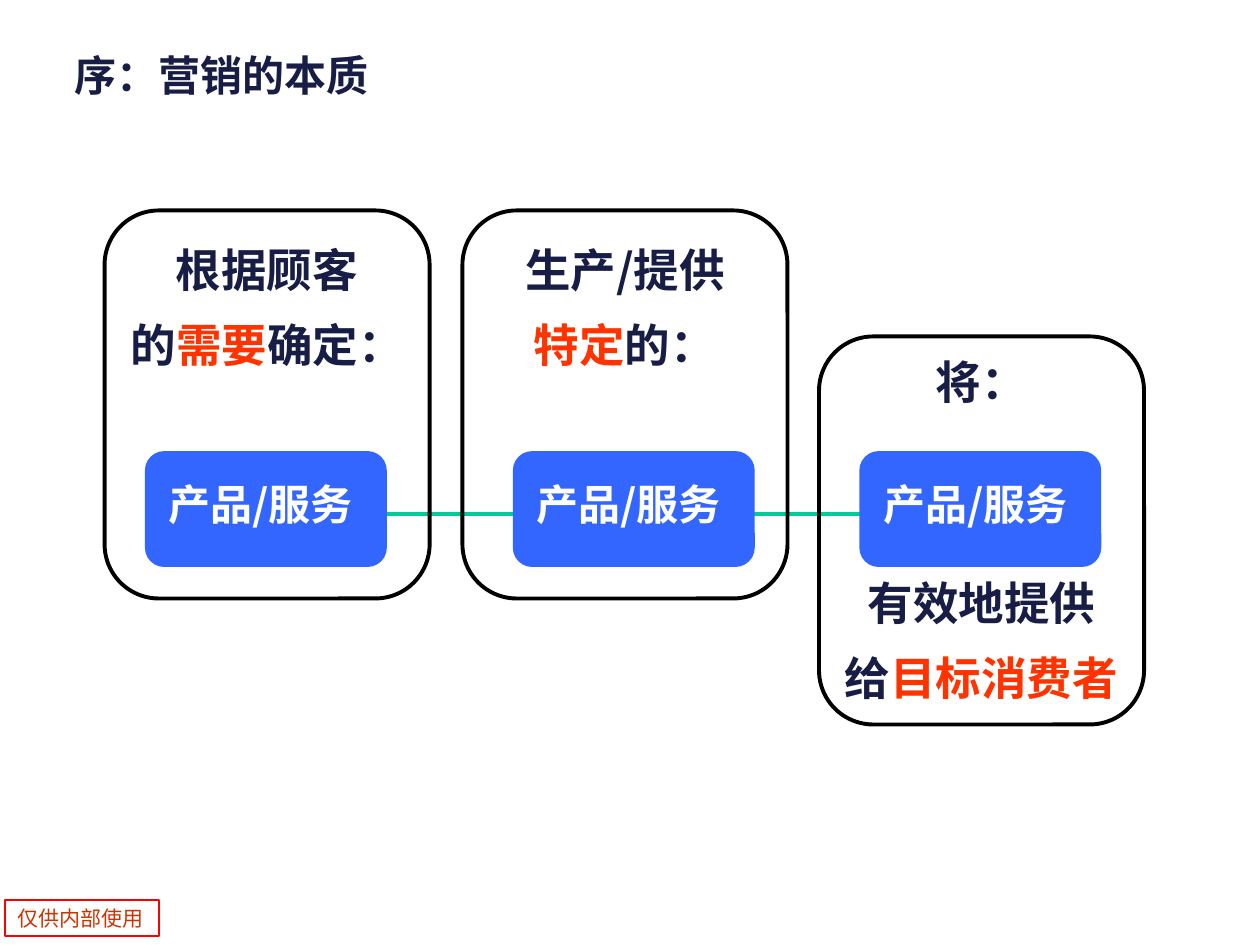
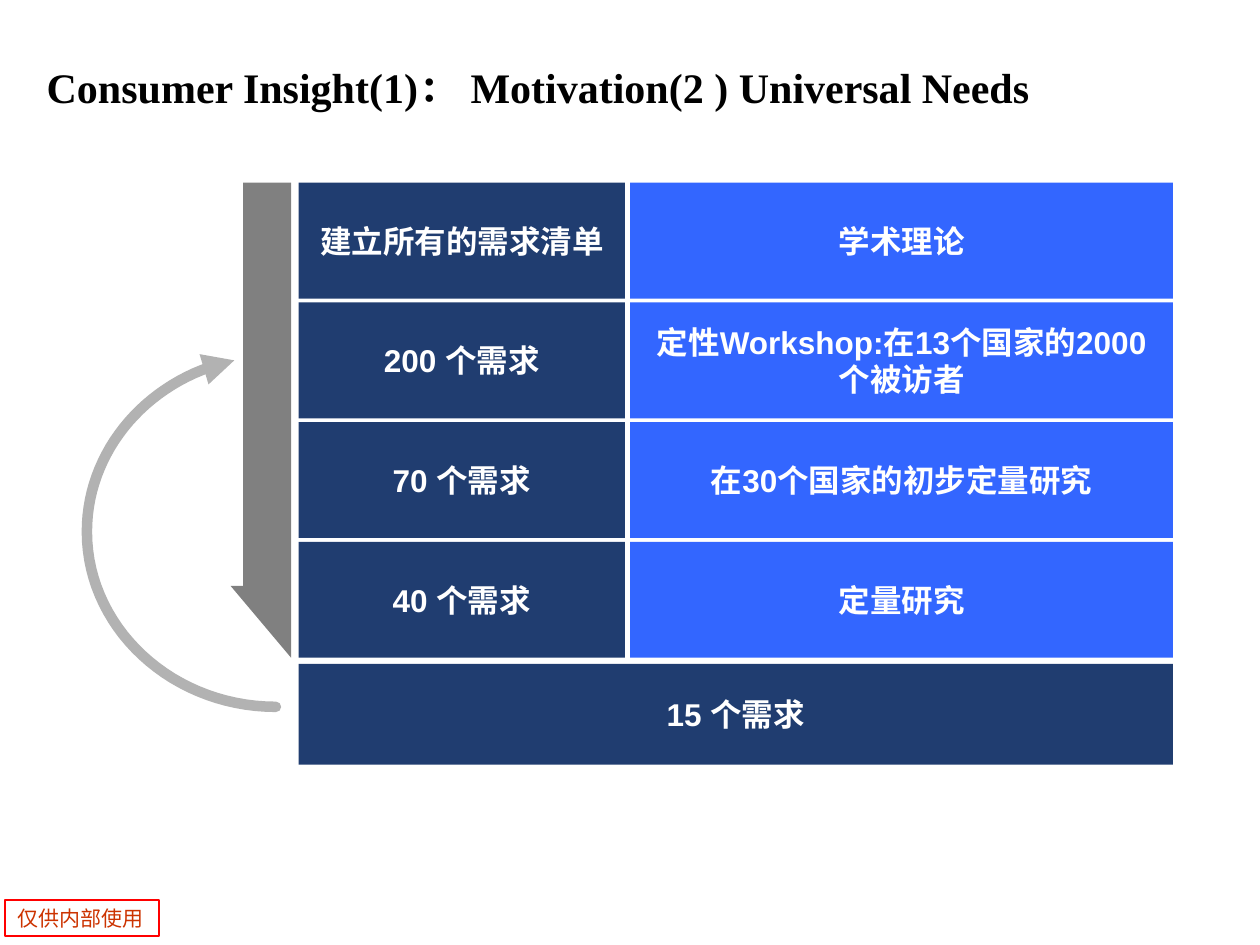
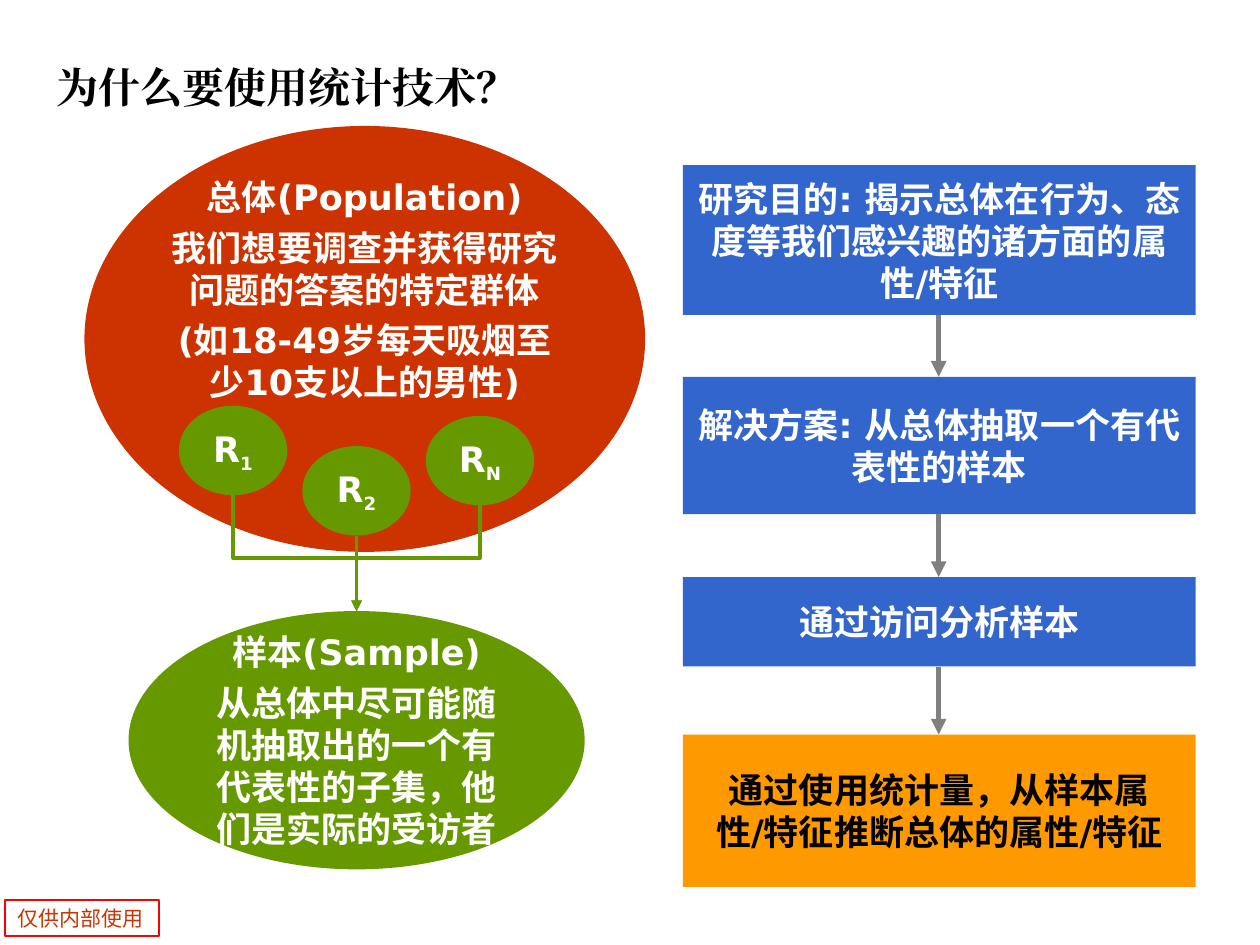
from dataclasses import dataclass

from lxml import etree
from pptx import Presentation
from pptx import util as u
from pptx.dml.color import RGBColor
from pptx.enum import shapes, text
from pptx.oxml import ns


@dataclass(frozen=True)
class Theme:
    navy: str = "171D45"
    deep: str = "203D70"
    blue: str = "3366FF"
    step: str = "3366CC"
    teal: str = "00CC99"
    accent: str = "FF3300"
    brick: str = "CC3300"
    green: str = "669900"
    orange: str = "FF9900"
    red: str = "FF0000"
    grey: str = "808080"
    silver: str = "B2B2B2"
    black: str = "000000"
    white: str = "FFFFFF"
    han: str = "Noto Sans CJK SC"
    sans: str = "Arial"
    wide: str = "DejaVu Sans"
    serif: str = "Times New Roman"
    title: int = 24
    card: int = 26
    badge: int = 24
    flow: int = 20
    cell: int = 18
    stamp: int = 12


T = Theme()
SHAPE = shapes.MSO_SHAPE
CENTER, LEFT = text.PP_ALIGN.CENTER, text.PP_ALIGN.LEFT
TOP, MIDDLE = text.MSO_ANCHOR.TOP, text.MSO_ANCHOR.MIDDLE

STAMP = "仅供内部使用"

ESSENCE_TITLE = "序：营销的本质"
BADGE = "产品/服务"
CARDS = [
    {"left": 0.83, "top": 1.67, "badge": 1.15, "texts": [
        (1.94, 1.06, [["根据顾客"], ["的", ("需要", T.accent), "确定："]])]},
    {"left": 3.67, "top": 1.67, "badge": 4.07, "texts": [
        (1.94, 1.06, [["生产/提供"], [("特定", T.accent), "的："]])]},
    {"left": 6.5, "top": 2.67, "badge": 6.82, "texts": [
        (2.83, 0.47, [["将："]]),
        (4.58, 1.06, [["有效地提供"], ["给", ("目标消费者", T.accent)]])]},
]

NEEDS_TITLE = "Consumer Insight(1)： Motivation(2 ) Universal Needs"
NEEDS = [
    ("建立所有的需求清单", "学术理论"),
    ("200 个需求", "定性Workshop:在13个国家的2000个被访者"),
    ("70 个需求", "在30个国家的初步定量研究"),
    ("40 个需求", "定量研究"),
]
NEEDS_RESULT = "15 个需求"
DOWN_ARROW = [(1.93, 1.45), (1.93, 4.65), (1.83, 4.65), (2.31, 5.22), (2.31, 1.45)]
RETURN_CURVES = [
    [(1.86, 2.86), (1.19, 3), (0.69, 3.56), (0.69, 4.22)],
    [(0.69, 4.22), (0.69, 4.98), (1.36, 5.61), (2.19, 5.61)],
]

STATS_TITLE = "为什么要使用统计技术？"
POPULATION = [["总体(Population)"], ["我们想要调查并获得研究问题的答案的特定群体"],
              ["(如18-49岁每天吸烟至少10支以上的男性)"]]
SAMPLE = [["样本(Sample)"],
          ["从总体中尽可能随机抽取出的一个有代表性的子集，他们是实际的受访者"]]
RESPONDENTS = [("1", 3.22), ("2", 3.54), ("N", 3.3)]
STEPS = [
    (1.31, 1.19, "研究目的: 揭示总体在行为、态度等我们感兴趣的诸方面的属性/特征", T.step, T.white),
    (2.99, 1.09, "解决方案: 从总体抽取一个有代表性的样本", T.step, T.white),
    (4.58, 0.71, "通过访问分析样本", T.step, T.white),
    (5.83, 1.21, "通过使用统计量，从样本属性/特征推断总体的属性/特征", T.orange, T.black),
]


def rgb(code):
    return RGBColor.from_string(code)


def inches(*values):
    return [u.Inches(value) for value in values]


def write(box, paragraphs, size, color, font, bold=True, align=CENTER, anchor=MIDDLE,
          before=0, spacing=None, insets=(0.1, 0.05, 0.1, 0.05)):
    frame = box.text_frame
    frame.word_wrap = True
    frame.auto_size = text.MSO_AUTO_SIZE.NONE
    frame.vertical_anchor = anchor
    frame.margin_left, frame.margin_top, frame.margin_right, frame.margin_bottom = inches(*insets)
    for index, parts in enumerate(paragraphs):
        para = frame.add_paragraph() if index else frame.paragraphs[0]
        para.alignment = align
        para.space_before = u.Pt(before if index else 0)
        if spacing:
            para.line_spacing = spacing
        for part in parts:
            words, tint = part if isinstance(part, tuple) else (part, color)
            span = para.add_run()
            span.text = words
            span.font.size, span.font.bold, span.font.name = u.Pt(size), bold, font
            span.font.color.rgb = rgb(tint)
            etree.SubElement(span._r.get_or_add_rPr(), ns.qn("a:ea"), typeface=font)
    return frame


def paint(shape, fill=None, line=None, width=1):
    shape.shadow.inherit = False
    if fill:
        shape.fill.solid()
        shape.fill.fore_color.rgb = rgb(fill)
    else:
        shape.fill.background()
    if line:
        shape.line.color.rgb = rgb(line)
        shape.line.width = u.Pt(width)
    else:
        shape.line.fill.background()
    return shape


def add_box(page, kind, at, **style):
    return paint(page.shapes.add_shape(kind, *inches(*at)), **style)


def add_text(page, at, paragraphs, *args, **style):
    return write(page.shapes.add_textbox(*inches(*at)), paragraphs, *args, anchor=TOP, **style)


def add_end(line, **ends):
    properties = line.line._get_or_add_ln()
    for tag, kind in ends.items():
        etree.SubElement(properties, ns.qn(f"a:{tag}"), type=kind)


def add_line(page, start, end, color, width, kind=shapes.MSO_CONNECTOR.STRAIGHT, **ends):
    line = page.shapes.add_connector(kind, *inches(*start, *end))
    line.line.color.rgb = rgb(color)
    line.line.width = u.Pt(width)
    add_end(line, **ends)
    etree.SubElement(line.element.spPr, ns.qn("a:effectLst"))
    return line


def add_drop(page, start, end, bend):
    (x1, y1), (x2, y2) = start, end
    line = add_line(page, start, end, T.green, 2, shapes.MSO_CONNECTOR.ELBOW, tailEnd="triangle")
    run, fall = abs(x2 - x1), y2 - y1
    line.left, line.top, line.width, line.height = inches(
        (x1 + x2 - fall) / 2, (y1 + y2 - run) / 2, fall, run)
    frame = line.element.spPr.find(ns.qn("a:xfrm"))
    frame.attrib.pop("flipH", None)
    frame.set("rot", "16200000" if x2 > x1 else "5400000")
    if x2 > x1:
        frame.set("flipH", "1")
    guides = line.element.spPr.find(ns.qn("a:prstGeom")).get_or_add_avLst()
    etree.SubElement(guides, ns.qn("a:gd"), name="adj1",
                     fmla=f"val {round((bend - y1) / fall * 100000)}")


def add_outline(page, points, close, **style):
    first, *rest = [inches(*point) for point in points]
    builder = page.shapes.build_freeform(*first)
    builder.add_line_segments(rest, close=close)
    return paint(builder.convert_to_shape(), **style)


def curve_points(curve, count=30):
    for index in range(count + 1):
        t = index / count
        weights = (1 - t) ** 3, 3 * t * (1 - t) ** 2, 3 * t * t * (1 - t), t ** 3
        yield tuple(sum(w * point[axis] for w, point in zip(weights, curve)) for axis in (0, 1))


def add_page(deck, layout, title, at, color=T.black, font=T.serif, anchor=MIDDLE):
    page = deck.slides.add_slide(layout)
    box = page.shapes.title
    box.left, box.top, box.width, box.height = inches(*at)
    write(box, [[title]], T.title, color, font, align=LEFT, anchor=anchor)
    return page


def add_stamp(page, layout):
    stamp = add_box(page, SHAPE.RECTANGLE, (0.04, 7.14, 1.22, 0.29), line=T.red)
    write(stamp, [[STAMP]], T.stamp, T.brick, T.han, bold=False, align=LEFT, anchor=TOP)
    layout.shapes.element.append(stamp.element)


def build_essence(page):
    add_line(page, (2, 4.08), (7.83, 4.08), T.teal, 2.25, headEnd="oval", tailEnd="oval")
    for card in CARDS:
        left, badge_left = card["left"], card["badge"]
        badge = add_box(page, SHAPE.ROUNDED_RECTANGLE, (badge_left, 3.58, 1.92, 0.92), fill=T.blue)
        outline = add_box(page, SHAPE.ROUNDED_RECTANGLE, (left, card["top"], 2.58, 3.08),
                          line=T.black, width=2.25)
        badge.adjustments[0] = outline.adjustments[0] = 0.167
        add_text(page, (badge_left - 0.07, 3.75, 1.98, 0.5), [[BADGE]], T.badge, T.white, T.han)
        for top, height, paragraphs in card["texts"]:
            add_text(page, (left, top, 2.58, height), paragraphs, T.card, T.navy, T.han,
                     before=16.2, spacing=0.85)


def build_needs(page):
    top, pitch = 1.45, 0.95
    cells = [(2.37, top + len(NEEDS) * pitch + 0.02, 6.94, 0.8, NEEDS_RESULT, T.deep)]
    for row, (need, method) in enumerate(NEEDS):
        y = top + row * pitch
        cells += [(2.37, y, 2.59, 0.92, need, T.deep), (5, y, 4.31, 0.92, method, T.blue)]
    for *at, words, fill in cells:
        write(add_box(page, SHAPE.RECTANGLE, at, fill=fill), [[words]], T.cell, T.white, T.sans)
    add_outline(page, DOWN_ARROW, True, fill=T.grey)
    points = [point for curve in RETURN_CURVES for point in curve_points(curve)]
    loop = add_outline(page, points, False, line=T.silver, width=6)
    loop.line._get_or_add_ln().set("cap", "rnd")
    etree.SubElement(loop.line._get_or_add_ln(), ns.qn("a:round"))
    add_end(loop, headEnd="triangle")


def build_stats(page):
    population = add_box(page, SHAPE.OVAL, (0.67, 1, 4.45, 3.38), fill=T.brick)
    write(population, POPULATION, T.flow, T.white, T.wide, before=5,
          insets=(0.02, 0.04, 0.02, 0.83))
    sample = add_box(page, SHAPE.OVAL, (1.02, 4.85, 3.62, 2.05), fill=T.green)
    write(sample, SAMPLE, T.flow, T.white, T.wide, before=5)
    target = (2.83, 4.85)
    for index, (label, top) in enumerate(RESPONDENTS):
        left = 1.42 + 0.98 * index
        oval = add_box(page, SHAPE.OVAL, (left, top, 0.86, 0.71), fill=T.green)
        frame = write(oval, [["R", label]], T.flow, T.white, T.wide)
        mark = frame.paragraphs[0].runs[1].font
        mark.size = u.Pt(T.cell)
        mark._element.set("baseline", "-25000")
        start = (left + 0.43, top + 0.71)
        if index == 1:
            add_line(page, start, target, T.green, 2, tailEnd="triangle")
        else:
            add_drop(page, start, target, 4.43)
    for top, height, words, fill, color in STEPS:
        step = add_box(page, SHAPE.RECTANGLE, (5.42, top, 4.07, height), fill=fill)
        write(step, [[words]], T.flow, color, T.wide)
    for (top, height, *_), (below, *_) in zip(STEPS, STEPS[1:]):
        add_line(page, (7.45, top + height), (7.45, below), T.grey, 3, tailEnd="triangle")


def main():
    deck = Presentation()
    deck.slide_width, deck.slide_height = inches(10, 7.5)
    layout = deck.slide_layouts.get_by_name("Title Only")
    essence = add_page(deck, layout, ESSENCE_TITLE, (0.49, 0.34, 3.57, 0.49),
                       T.navy, T.sans, TOP)
    add_stamp(essence, layout)
    build_essence(essence)
    build_needs(add_page(deck, layout, NEEDS_TITLE, (0.27, 0.23, 9.69, 0.92)))
    build_stats(add_page(deck, layout, STATS_TITLE, (0.35, 0.23, 9.45, 0.92)))
    deck.save("out.pptx")


if __name__ == "__main__":
    main()
